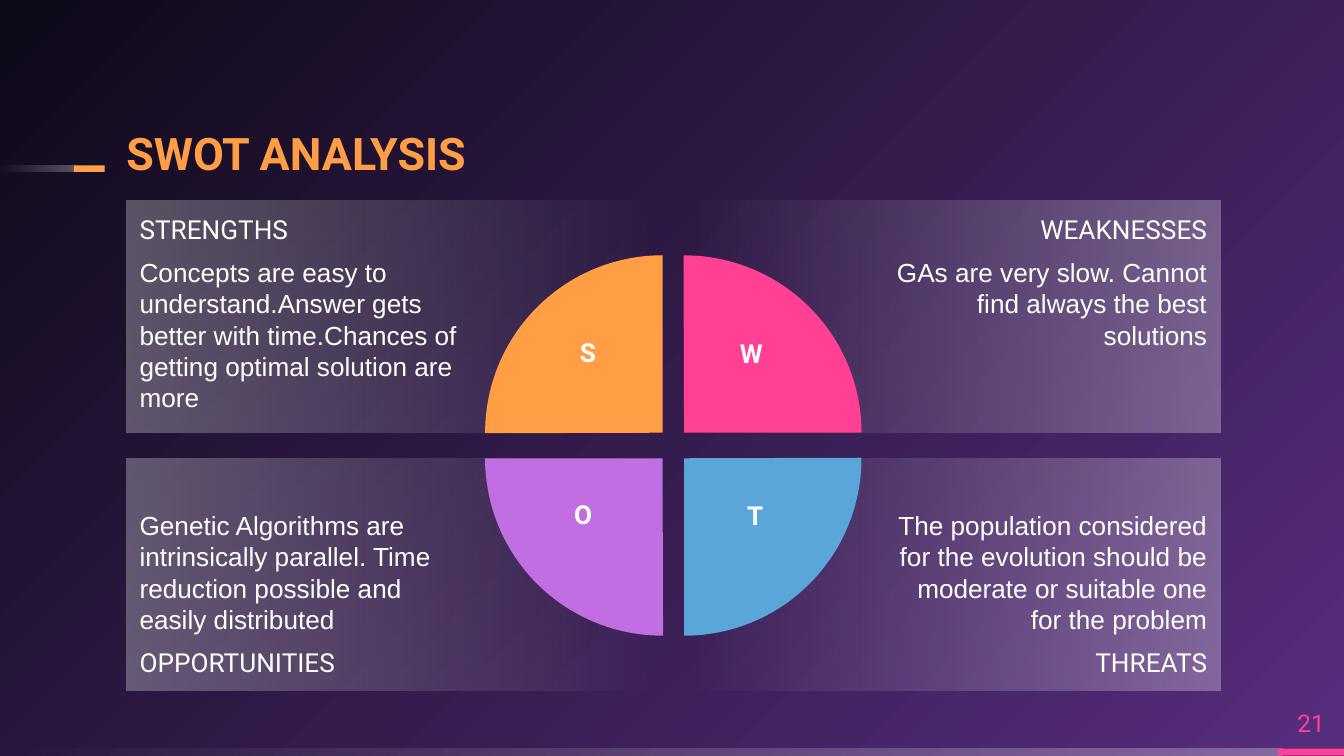
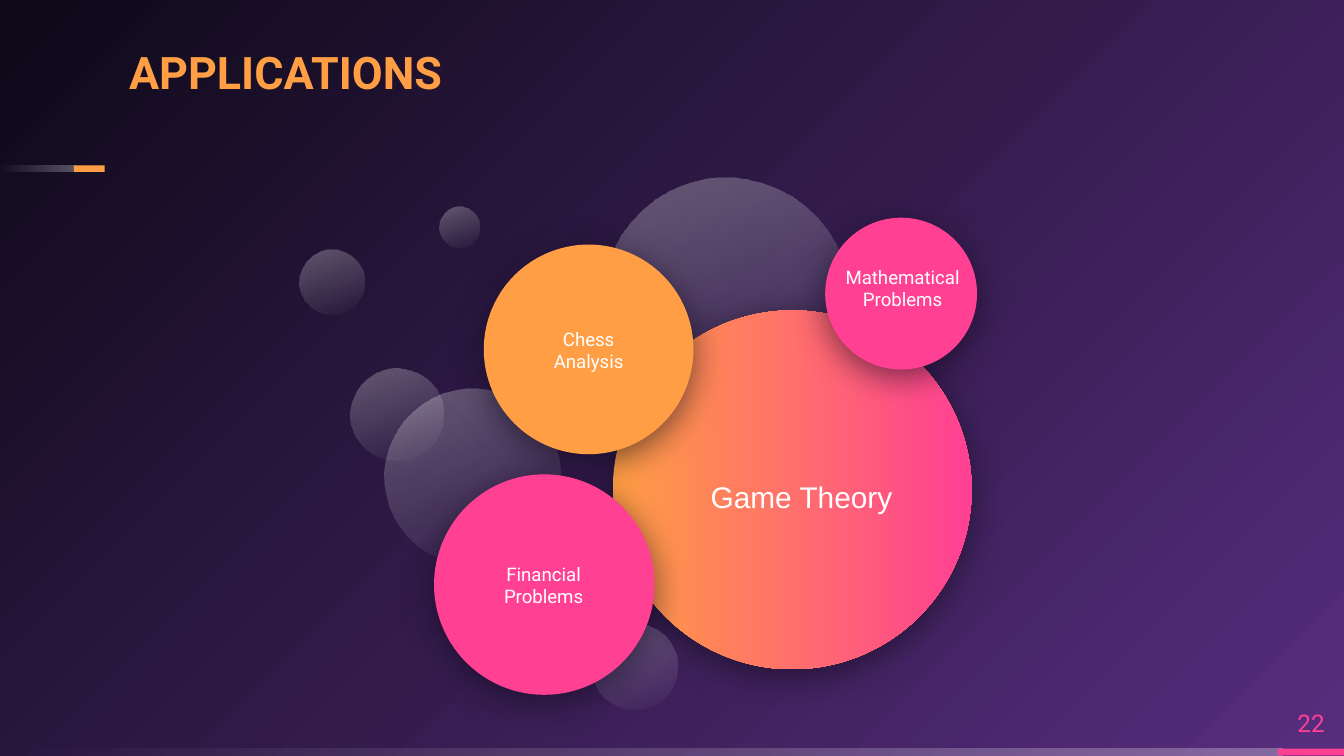
from pptx import Presentation
from pptx.dml.color import RGBColor
from pptx.enum.shapes import MSO_SHAPE as Shape
from pptx.enum.text import MSO_ANCHOR as Anchor, PP_ALIGN as Align
from pptx.oxml import parse_xml
from pptx.oxml.ns import nsdecls, qn
from pptx.util import Inches, Pt

WHITE = RGBColor(0xFF, 0xFF, 0xFF)
ORANGE = RGBColor(0xFF, 0x9E, 0x44)
PINK = RGBColor(0xFF, 0x40, 0x93)
BLUE = RGBColor(0x5A, 0xA5, 0xDA)
LILAC = RGBColor(0xC0, 0x6E, 0xE2)
VIOLET = RGBColor(0x57, 0x2D, 0x7E)
NIGHT = RGBColor(0x0E, 0x09, 0x18)

HEADING_FONT = "Roboto"
BODY_FONT = "Arial"
GLASS = ((WHITE, 29), (WHITE, 0))
SUNSET = ((ORANGE, 100), (PINK, 100))
BACKDROP = ((VIOLET, 100), (NIGHT, 100))
CORNER = '<a:path path="circle"><a:fillToRect l="100000" t="100000"/></a:path>'
NO_INSETS = (0, 0, 0, 0)
EVEN_INSETS = (0.1, 0.1, 0.1, 0.1)


class Deck:
    def __init__(self):
        self.presentation = Presentation()
        self.presentation.slide_width = Inches(10)
        self.presentation.slide_height = Inches(10 * 9 / 16)
        self.slide = None

    def start_slide(self, number):
        layout = self.presentation.slide_layouts[6]
        self.slide = self.presentation.slides.add_slide(layout)
        background = self.slide.background.fill
        self.gradient(background, self.slide.element, BACKDROP, CORNER)
        self.shape(Shape.RECTANGLE, (0, 5.57, 9.54, 0.05), GLASS, angle=180)
        self.shape(Shape.RECTANGLE, (9.51, 5.57, 0.49, 0.05), PINK)
        self.shape(Shape.RECTANGLE, (0, 1.23, 0.56, 0.05), GLASS, angle=180)
        self.shape(Shape.RECTANGLE, (0.55, 1.23, 0.23, 0.05), ORANGE)
        self.text((9.51, 5.19, 0.49, 0.38), str(number), size=13, color=PINK,
                  insets=NO_INSETS, anchor=Anchor.MIDDLE)

    def gradient(self, fill, element, colors, direction):
        fill.gradient()
        stops = "".join(
            f'<a:gs pos="{position}"><a:srgbClr val="{color}">'
            f'<a:alpha val="{opacity * 1000}"/></a:srgbClr></a:gs>'
            for position, (color, opacity) in zip((0, 100000), colors))
        default = next(element.iter(qn("a:gradFill")))
        default.getparent().replace(default, parse_xml(
            f'<a:gradFill {nsdecls("a")} rotWithShape="1">'
            f'<a:gsLst>{stops}</a:gsLst>{direction}</a:gradFill>'))

    def shape(self, kind, box, fill, angle=0, rotation=0):
        shape = self.slide.shapes.add_shape(kind, *map(Inches, box))
        shape.shadow.inherit = False
        shape.line.fill.background()
        shape.rotation = rotation
        if isinstance(fill, RGBColor):
            shape.fill.solid()
            shape.fill.fore_color.rgb = fill
        else:
            direction = f'<a:lin ang="{angle * 60000}" scaled="0"/>'
            self.gradient(shape.fill, shape.element, fill, direction)
        return shape

    def bubble(self, box, fill):
        effects = self.shape(Shape.OVAL, box, fill).element.spPr.find(qn("a:effectLst"))
        effects.append(parse_xml(
            f'<a:outerShdw {nsdecls("a")} blurRad="{Pt(18)}" dist="{Pt(4)}" '
            f'dir="5400000" algn="ctr" rotWithShape="0"><a:srgbClr val="{NIGHT}">'
            '<a:alpha val="55000"/></a:srgbClr></a:outerShdw>'))

    def frame(self, shape, insets, anchor):
        frame = shape.text_frame
        frame.word_wrap = True
        frame.vertical_anchor = anchor
        (frame.margin_left, frame.margin_top,
         frame.margin_right, frame.margin_bottom) = map(Inches, insets)
        return frame

    def run(self, paragraph, text, size, font=HEADING_FONT, color=WHITE, bold=False):
        run = paragraph.add_run()
        run.text = text
        run.font.name = font
        run.font.size = Pt(size)
        run.font.bold = bold
        run.font.color.rgb = color

    def text(self, box, text, size, insets=EVEN_INSETS, anchor=Anchor.TOP,
             align=Align.CENTER, **style):
        shape = self.slide.shapes.add_textbox(*map(Inches, box))
        paragraph = self.frame(shape, insets, anchor).paragraphs[0]
        paragraph.alignment = align
        self.run(paragraph, text, size, **style)
        return paragraph

    def title(self, left, top, width, text):
        paragraph = self.text((left, top, width, 0.43), text, 24, NO_INSETS,
                              Anchor.BOTTOM, Align.LEFT, color=ORANGE, bold=True)
        paragraph.line_spacing = 0.9

    def panel(self, column, row, heading, body):
        box = (0.94 + 4.15 * column, 1.49 + 1.92 * row, 3.99, 1.73)
        shape = self.shape(Shape.RECTANGLE, box, GLASS, angle=180 * column)
        insets = (1.5, 0.1, 0.1, 0.1) if column else (0.1, 0.1, 1.5, 0.1)
        frame = self.frame(shape, insets, Anchor.BOTTOM if row else Anchor.TOP)
        lines = [(heading, HEADING_FONT), (body, BODY_FONT)]
        if row:
            lines.reverse()
        first, last = frame.paragraphs[0], frame.add_paragraph()
        for paragraph, (text, font) in zip((first, last), lines):
            paragraph.alignment = Align.RIGHT if column else Align.LEFT
            self.run(paragraph, text, 14, font)
        last.space_before = last.space_after = Pt(6)

    def quarter(self, column, row, color, rotation):
        box = (3.61 + 0.16 * column, 1.9 + 0.19 * row, 2.64, 2.64)
        pie = self.shape(Shape.PIE, box, color, rotation=rotation)
        pie.adjustments[0] = 107.89
        pie.adjustments[1] = 162


def build_swot(deck):
    deck.start_slide(21)
    deck.title(0.94, 0.91, 5.8, "SWOT ANALYSIS")
    panels = (
        (0, 0, "STRENGTHS", "Concepts are easy to understand.Answer gets better "
                            "with time.Chances of getting optimal solution are more"),
        (1, 0, "WEAKNESSES", "GAs are very slow. Cannot find always the best solutions"),
        (0, 1, "OPPORTUNITIES", "Genetic Algorithms are intrinsically parallel. "
                                "Time reduction possible and easily distributed"),
        (1, 1, "THREATS", "The population considered for the evolution should be "
                          "moderate or suitable one for the problem"),
    )
    for panel in panels:
        deck.panel(*panel)
    quarters = ((0, 0, ORANGE), (1, 0, PINK), (1, 1, BLUE), (0, 1, LILAC))
    for turn, (column, row, color) in enumerate(quarters):
        deck.quarter(column, row, color, 90 * turn)
    letters = (
        ("S", (4.2, 2.45, 0.35, 0.48)),
        ("W", (5.31, 2.46, 0.56, 0.47)),
        ("O", (4.16, 3.66, 0.36, 0.49)),
        ("T", (5.44, 3.67, 0.36, 0.47)),
    )
    for letter, box in letters:
        deck.text(box, letter, 14, insets=(0.1, 0.05, 0.1, 0.05), bold=True)


def build_applications(deck):
    deck.start_slide(22)
    glass_circles = ((4.4, 4.64, 0.64), (2.23, 1.86, 0.48), (2.86, 2.89, 1.31),
                     (4.48, 1.32, 1.84), (2.61, 2.74, 0.69), (3.27, 1.54, 0.3))
    for left, top, size in glass_circles:
        deck.shape(Shape.OVAL, (left, top, size, size), GLASS, angle=180, rotation=250)

    deck.bubble((4.56, 2.31, 2.67, 2.67), SUNSET)
    main = deck.text((5.07, 3.06, 2.04, 1.27), "Game Theory", 16,
                     anchor=Anchor.MIDDLE, align=Align.LEFT, font=BODY_FONT)
    main._p.get_or_add_pPr().set("marL", str(Inches(0.12)))

    bubbles = (
        ("Chess Analysis", ORANGE, (3.6, 1.82, 1.56, 1.56), (3.85, 2.09, 1.06, 1.03)),
        ("Financial Problems", PINK, (3.23, 3.53, 1.64, 1.64), (3.46, 3.84, 1.17, 1.03)),
        ("Mathematical Problems", PINK, (6.14, 1.62, 1.13, 1.13), (6.17, 1.77, 1.09, 0.75)),
    )
    for label, color, circle, box in bubbles:
        deck.bubble(circle, color)
        deck.text(box, label, 10, anchor=Anchor.MIDDLE)
    deck.title(0.96, 0.31, 8.49, "APPLICATIONS")


def main():
    deck = Deck()
    build_swot(deck)
    build_applications(deck)
    deck.presentation.save("out.pptx")


if __name__ == "__main__":
    main()
